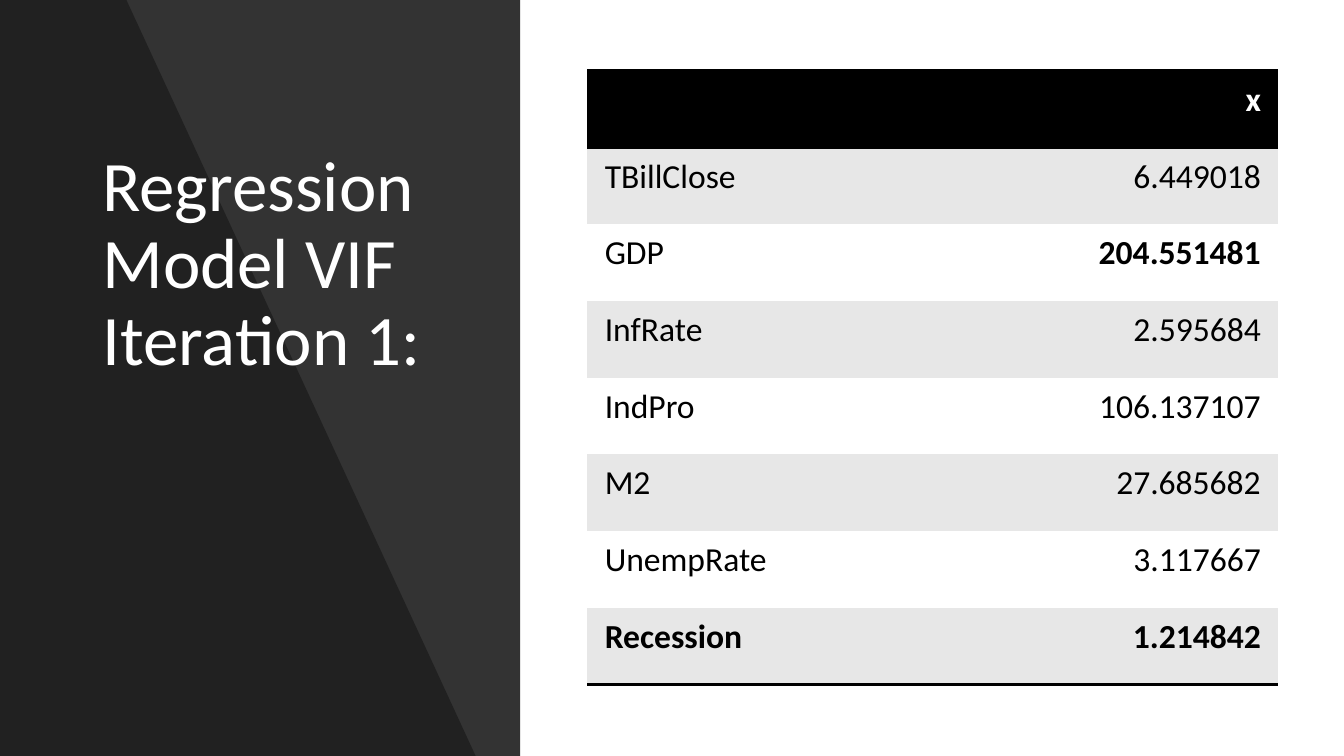
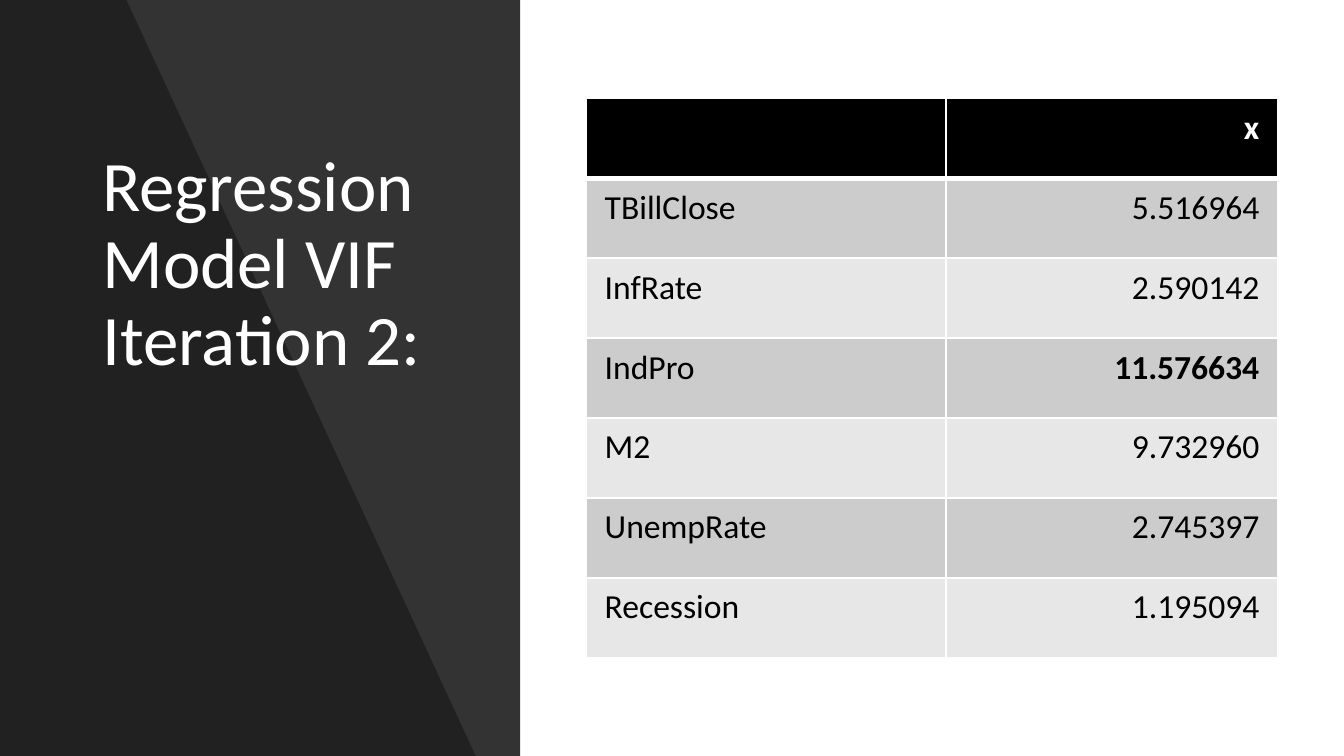
from lxml import etree
from pptx import Presentation
from pptx.dml.color import RGBColor
from pptx.enum.shapes import MSO_SHAPE
from pptx.enum.text import MSO_ANCHOR, MSO_AUTO_SIZE, PP_ALIGN
from pptx.oxml.ns import qn
from pptx.util import Cm, Pt

RECT = MSO_SHAPE.RECTANGLE
BOTTOM = MSO_ANCHOR.BOTTOM
NO_FIT = MSO_AUTO_SIZE.NONE
LEFT, RIGHT = PP_ALIGN.LEFT, PP_ALIGN.RIGHT

FONT = "Calibri"
BLACK, WHITE, LIGHT, MID = "000000", "FFFFFF", "E7E7E7", "CCCCCC"
SLIDE_W, SLIDE_H = 25.4, 14.29
PLAIN_STYLE = "{2D5ABB26-0587-4C30-8999-92F81FD0307C}"


def rgb(color):
    return RGBColor.from_string(color)


def put_text(tf, text, size=18, color=BLACK, bold=False, align=LEFT, spacing=None):
    p = tf.paragraphs[0]
    p.alignment = align
    p.line_spacing = spacing
    r = p.add_run()
    r.text = text
    r.font.name, r.font.size, r.font.bold = FONT, Pt(size), bold
    r.font.color.rgb = rgb(color)


def tint(sp, opacity):
    """Fill a shape with see-through black, without line or shadow."""
    sp.fill.solid()
    sp.fill.fore_color.rgb = rgb(BLACK)
    clr = sp._element.spPr.find(qn("a:solidFill"))[0]
    etree.SubElement(clr, qn("a:alpha")).set("val", str(opacity * 1000))
    sp.line.fill.background()
    sp.shadow.inherit = False


def add_panel(s):
    """Dark panel on the left with a slanted, darker part."""
    tint(s.shapes.add_shape(RECT, 0, 0, Cm(9.83), Cm(SLIDE_H)), 80)
    corners = [(2.39, 0), (8.99, SLIDE_H), (0, SLIDE_H)]
    fb = s.shapes.build_freeform(0, 0)
    fb.add_line_segments([(Cm(x), Cm(y)) for x, y in corners], close=True)
    tint(fb.convert_to_shape(), 35)


def add_title(s, text):
    title = s.shapes.title
    s.shapes._spTree.append(title._element)  # bring in front of the panel
    title.left, title.top = Cm(1.68), Cm(2.34)
    title.width, title.height = Cm(6.88), Cm(4.98)
    tf = title.text_frame
    tf.word_wrap, tf.auto_size, tf.vertical_anchor = True, NO_FIT, BOTTOM
    put_text(tf, text, size=38, color=WHITE, spacing=0.9)


def set_borders(cell, borders):
    """Borders map a side (L, R, T, B) to a colour and a width in points."""
    tcPr = cell._tc.get_or_add_tcPr()
    for side in "LRTB":
        if side in borders:
            color, width = borders[side]
            ln = etree.SubElement(tcPr, qn("a:ln" + side), w=str(Pt(width)))
            fill = etree.SubElement(ln, qn("a:solidFill"))
            etree.SubElement(fill, qn("a:srgbClr"), val=color)


def add_vif_table(s, rows, left, top, col_widths, row_height, margins,
                  bands, borders, bold):
    """Bands are the two row fills; borders(row, last) gives a row's borders;
    bold holds the (row, column) cells to stress."""
    rows = [("", "x")] + rows
    last = len(rows) - 1
    frame = s.shapes.add_table(len(rows), 2, Cm(left), Cm(top),
                               Cm(sum(col_widths)), Cm(row_height * len(rows)))
    tbl = frame.table
    tbl.first_row = tbl.horz_banding = False
    tbl._tbl.tblPr.find(qn("a:tableStyleId")).text = PLAIN_STYLE
    for col, width in zip(tbl.columns, col_widths):
        col.width = Cm(width)
    for i, row in enumerate(rows):
        tbl.rows[i].height = Cm(row_height)
        for j, text in enumerate(row):
            cell = tbl.cell(i, j)
            cell.margin_left = cell.margin_right = Cm(margins[0])
            cell.margin_top = cell.margin_bottom = Cm(margins[1])
            set_borders(cell, borders(i, last))
            cell.fill.solid()
            cell.fill.fore_color.rgb = rgb(bands[(i - 1) % 2] if i else BLACK)
            if text:
                put_text(cell.text_frame, text, color=BLACK if i else WHITE,
                         bold=i == 0 or (i, j) in bold,
                         align=RIGHT if j else LEFT)


def ruled(i, last):
    """Black rules around the header and below the last row."""
    line = (BLACK, 2)
    if i == 0:
        return {"T": line, "B": line}
    return {"B": line} if i == last else {}


def gridded(i, last):
    """White grid, heavier below the header."""
    borders = dict.fromkeys("LRTB", (WHITE, 1))
    if i == 0:
        borders["B"] = (WHITE, 3)
    elif i == 1:
        borders["T"] = (WHITE, 3)
    return borders


def add_slide(prs, title, **table):
    s = prs.slides.add_slide(prs.slide_layouts[5])
    add_panel(s)
    add_title(s, title)
    add_vif_table(s, **table)


def main():
    prs = Presentation()
    prs.slide_width, prs.slide_height = Cm(SLIDE_W), Cm(SLIDE_H)

    # First iteration: all variables
    add_slide(
        prs, "Regression Model VIF Iteration 1:",
        rows=[("TBillClose", "6.449018"), ("GDP", "204.551481"),
              ("InfRate", "2.595684"), ("IndPro", "106.137107"),
              ("M2", "27.685682"), ("UnempRate", "3.117667"),
              ("Recession", "1.214842")],
        left=11.1, top=1.34, col_widths=(6.53, 6.53), row_height=1.45,
        margins=(0.33, 0.16), bands=(LIGHT, WHITE), borders=ruled,
        bold={(2, 1), (7, 0), (7, 1)})

    # Second iteration: without GDP
    add_slide(
        prs, "Regression Model VIF Iteration 2:",
        rows=[("TBillClose", "5.516964"), ("InfRate", "2.590142"),
              ("IndPro", "11.576634"), ("M2", "9.732960"),
              ("UnempRate", "2.745397"), ("Recession", "1.195094")],
        left=11.08, top=1.86, col_widths=(6.8, 6.27), row_height=1.51,
        margins=(0.35, 0.17), bands=(MID, LIGHT), borders=gridded,
        bold={(3, 1)})

    prs.save("out.pptx")


if __name__ == "__main__":
    main()
